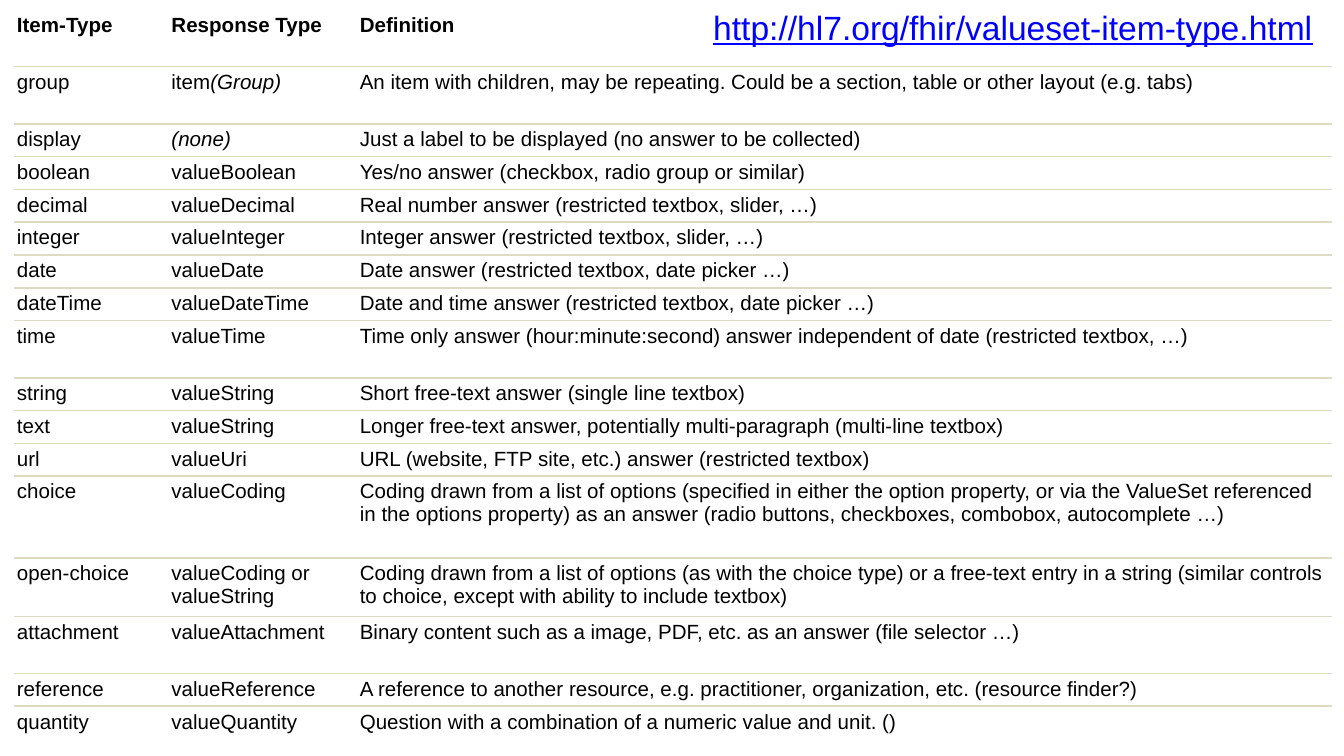
from lxml.etree import SubElement as Sub
from pptx import Presentation
from pptx.dml.color import RGBColor as RGB
from pptx.oxml.ns import qn
from pptx.util import Cm, Pt

PLAIN = "{2D5ABB26-0587-4C30-8999-92F81FD0307C}"  # no style, no grid
LINE = "DDD9C3"
LOW, TALL = 0.62, 1.08

ROWS = [
    (TALL, "Item-Type", "Response Type", "Definition"),
    (TALL, "group", "item(Group)", "An item with children, may be repeating. "
     "Could be a section, table or other layout (e.g. tabs)"),
    (LOW, "display", "(none)",
     "Just a label to be displayed (no answer to be collected)"),
    (LOW, "boolean", "valueBoolean",
     "Yes/no answer (checkbox, radio group or similar)"),
    (LOW, "decimal", "valueDecimal",
     "Real number answer (restricted textbox, slider, …)"),
    (LOW, "integer", "valueInteger",
     "Integer answer (restricted textbox, slider, …)"),
    (LOW, "date", "valueDate",
     "Date answer (restricted textbox, date picker …)"),
    (LOW, "dateTime", "valueDateTime",
     "Date and time answer (restricted textbox, date picker …)"),
    (TALL, "time", "valueTime", "Time only answer (hour:minute:second) "
     "answer independent of date (restricted textbox, …)"),
    (LOW, "string", "valueString",
     "Short free-text answer (single line textbox)"),
    (LOW, "text", "valueString", "Longer free-text answer, potentially "
     "multi-paragraph (multi-line textbox)"),
    (LOW, "url", "valueUri",
     "URL (website, FTP site, etc.) answer (restricted textbox)"),
    (1.55, "choice", "valueCoding", "Coding drawn from a list of options "
     "(specified in either the option property, or via the ValueSet "
     "referenced in the options property) as an answer (radio buttons, "
     "checkboxes, combobox, autocomplete …)"),
    (1.1, "open-choice", "valueCoding or valueString",
     "Coding drawn from a list of options (as with the choice type) or a "
     "free-text entry in a string (similar controls to choice, except with "
     "ability to include textbox)"),
    (TALL, "attachment", "valueAttachment", "Binary content such as a image, "
     "PDF, etc. as an answer (file selector …)"),
    (LOW, "reference", "valueReference", "A reference to another resource, "
     "e.g. practitioner, organization, etc. (resource finder?)"),
    (LOW, "quantity", "valueQuantity",
     "Question with a combination of a numeric value and unit. ()"),
]


def style(font, size, color):
    font.name, font.size = "Arial", Pt(size)
    font.color.rgb = RGB.from_string(color)


def rule(cell, side):
    """Draw a thin line on one side of a cell, lnT or lnB."""
    line = Sub(cell._tc.get_or_add_tcPr(), qn("a:" + side), w=str(Pt(1)))
    fill = Sub(line, qn("a:solidFill"))
    Sub(fill, qn("a:srgbClr"), val=LINE)


deck = Presentation()
deck.slide_width, deck.slide_height = Cm(25.4), Cm(14.29)
slide = deck.slides.add_slide(deck.slide_layouts[6])

# Table of item types
widths = [2.92, 3.56, 18.42]
high = sum(row[0] for row in ROWS)
table = slide.shapes.add_table(len(ROWS), len(widths), Cm(0.27), Cm(0.18),
                               Cm(sum(widths)), Cm(high)).table
table.horz_banding = False
table._tbl.tblPr.find(qn("a:tableStyleId")).text = PLAIN
for col, width in zip(table.columns, widths):
    col.width = Cm(width)

for r, (height, *texts) in enumerate(ROWS):
    table.rows[r].height = Cm(height)
    for c, text in enumerate(texts):
        cell = table.cell(r, c)
        cell.margin_left = cell.margin_right = Cm(0.05)
        cell.margin_top = cell.margin_bottom = Cm(0.08)
        if r > 0:
            rule(cell, "lnT")
        if r < len(ROWS) - 1:
            rule(cell, "lnB")
        cell.fill.background()
        para = cell.text_frame.paragraphs[0]
        style(para.font, 11, "000000")
        para.font.bold = r == 0
        # In the response column, words in brackets are italic
        head, mark, tail = text.partition("(") if c == 1 else (text, "", "")
        if head:
            para.add_run().text = head
        if mark:
            run = para.add_run()
            run.text = mark + tail
            run.font.italic = True

# Web address
box = slide.shapes.add_textbox(Cm(13.23), Cm(0), Cm(11.94), Cm(1.02))
box.text_frame.word_wrap = False
para = box.text_frame.paragraphs[0]
para.text = "http://hl7.org/fhir/valueset-item-type.html"
style(para.font, 18, "0000FF")
para.font.underline = True

deck.save("out.pptx")
